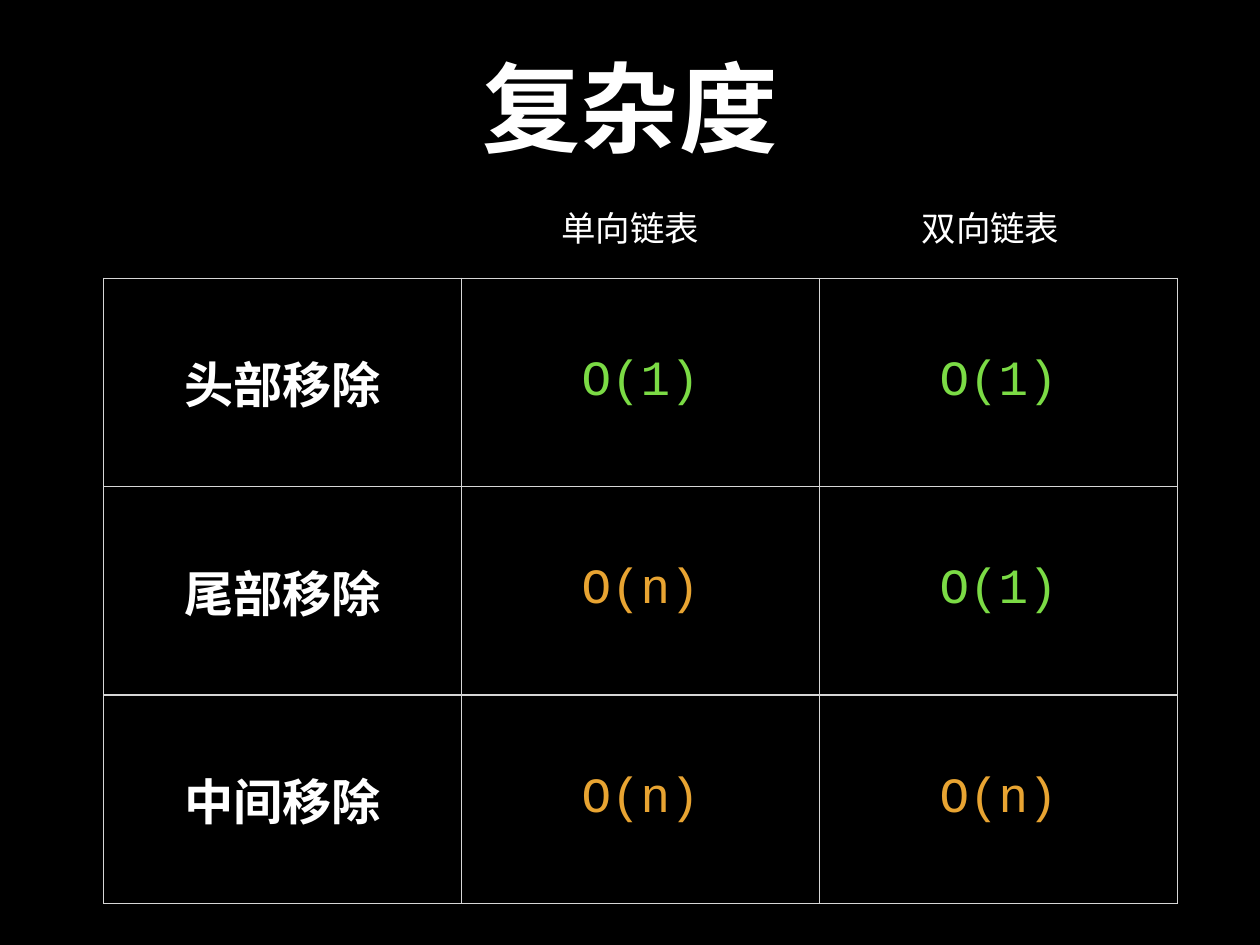
from lxml.etree import SubElement
from pptx import Presentation
from pptx.dml.color import RGBColor
from pptx.enum.text import MSO_ANCHOR, MSO_AUTO_SIZE, PP_ALIGN
from pptx.oxml.ns import qn
from pptx.util import Pt

BLACK = RGBColor(0x00, 0x00, 0x00)
WHITE = RGBColor(0xFF, 0xFF, 0xFF)
GREEN = RGBColor(0x7B, 0xDB, 0x45)
ORANGE = RGBColor(0xE8, 0xA4, 0x32)
BORDER_GREY = RGBColor(0xD6, 0xD6, 0xD6)

FONT = "Courier New"
INSET = Pt(4)
COST_COLORS = {"O(1)": GREEN, "O(n)": ORANGE}

LIST_KINDS = ["单向链表", "双向链表"]
COMPLEXITY = [
    ("头部移除", "O(1)", "O(1)"),
    ("尾部移除", "O(n)", "O(1)"),
    ("中间移除", "O(n)", "O(n)"),
]


def set_text(frame, text, size, color=WHITE, bold=False):
    frame.text = text
    paragraph = frame.paragraphs[0]
    paragraph.alignment = PP_ALIGN.CENTER
    font = paragraph.font
    font.name, font.size, font.bold = FONT, Pt(size), bold
    font.color.rgb = color


def set_insets(holder):
    holder.margin_left = holder.margin_right = INSET
    holder.margin_top = holder.margin_bottom = INSET
    holder.vertical_anchor = MSO_ANCHOR.MIDDLE


def add_title(slide, text):
    title = slide.shapes.title
    title.left, title.top = Pt(187), Pt(28)
    title.width, title.height = Pt(650), Pt(116)
    set_insets(title.text_frame)
    title.text_frame.auto_size = MSO_AUTO_SIZE.NONE
    set_text(title.text_frame, text, 80, bold=True)


def add_column_label(slide, text, center):
    width = 121
    label = slide.shapes.add_textbox(
        Pt(center - width / 2), Pt(164), Pt(width), Pt(42))
    frame = label.text_frame
    set_insets(frame)
    frame.word_wrap = False
    frame.auto_size = MSO_AUTO_SIZE.SHAPE_TO_FIT_TEXT
    set_text(frame, text, 28)


def set_borders(cell):
    properties = cell._tc.get_or_add_tcPr()
    # Border lines come before the fill in the cell properties
    for position, side in enumerate(("a:lnL", "a:lnR", "a:lnT", "a:lnB")):
        line = SubElement(properties, qn(side), w=str(Pt(1)))
        fill = SubElement(line, qn("a:solidFill"))
        SubElement(fill, qn("a:srgbClr"), val=str(BORDER_GREY))
        properties.insert(position, line)


def add_complexity_table(slide, rows):
    column_count = len(rows[0])
    table = slide.shapes.add_table(
        len(rows), column_count, Pt(84.2), Pt(226),
        Pt(291 * column_count), Pt(169.4 * len(rows))).table
    table.first_row = table.horz_banding = False
    for row, texts in zip(table.rows, rows):
        for cell, text in zip(row.cells, texts):
            set_insets(cell)
            cell.fill.background()
            set_borders(cell)
            set_text(cell.text_frame, text, 40,
                     COST_COLORS.get(text, WHITE), text not in COST_COLORS)


def main():
    presentation = Presentation()
    presentation.slide_width, presentation.slide_height = Pt(1024), Pt(768)
    slide = presentation.slides.add_slide(presentation.slide_layouts[5])
    slide.background.fill.solid()
    slide.background.fill.fore_color.rgb = BLACK

    # Removal costs by position, with a label over each kind of list
    add_complexity_table(slide, COMPLEXITY)
    for index, kind in enumerate(LIST_KINDS):
        add_column_label(slide, kind, 512 + 293 * index)

    add_title(slide, "复杂度")
    presentation.save("out.pptx")


if __name__ == "__main__":
    main()
